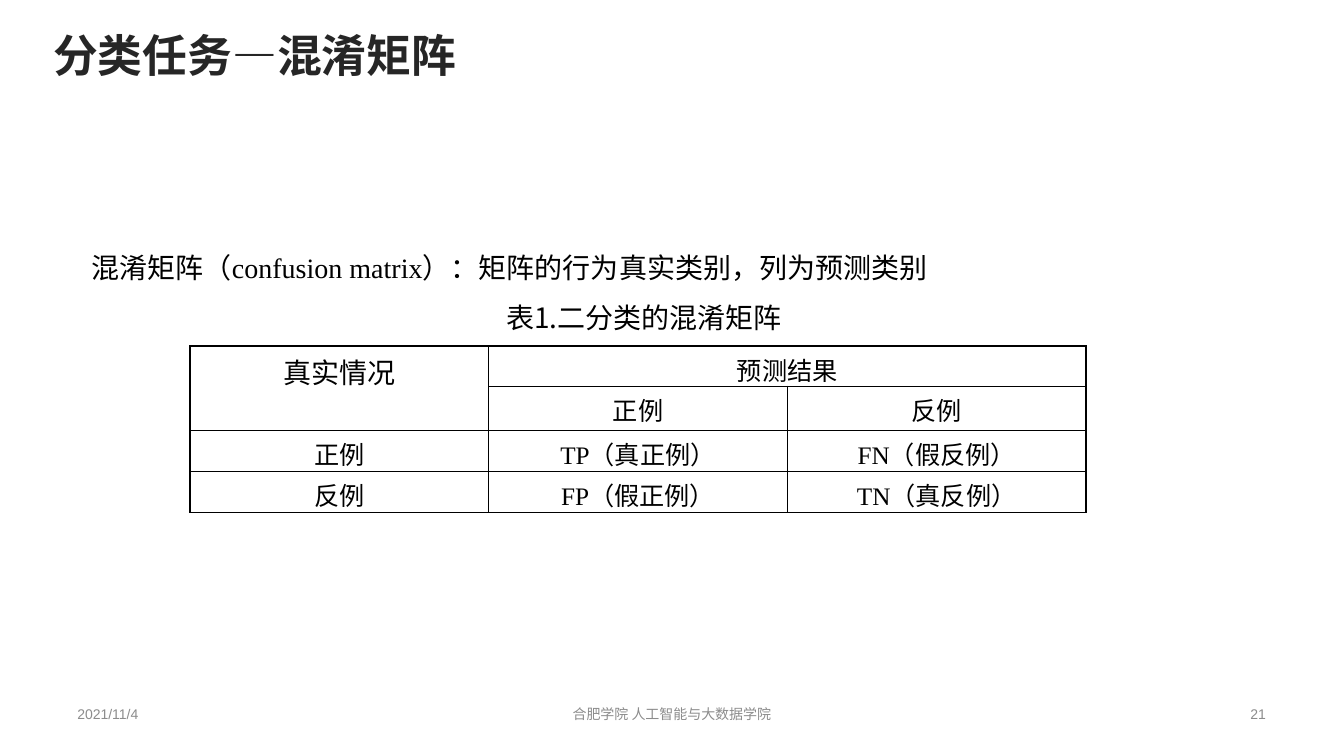
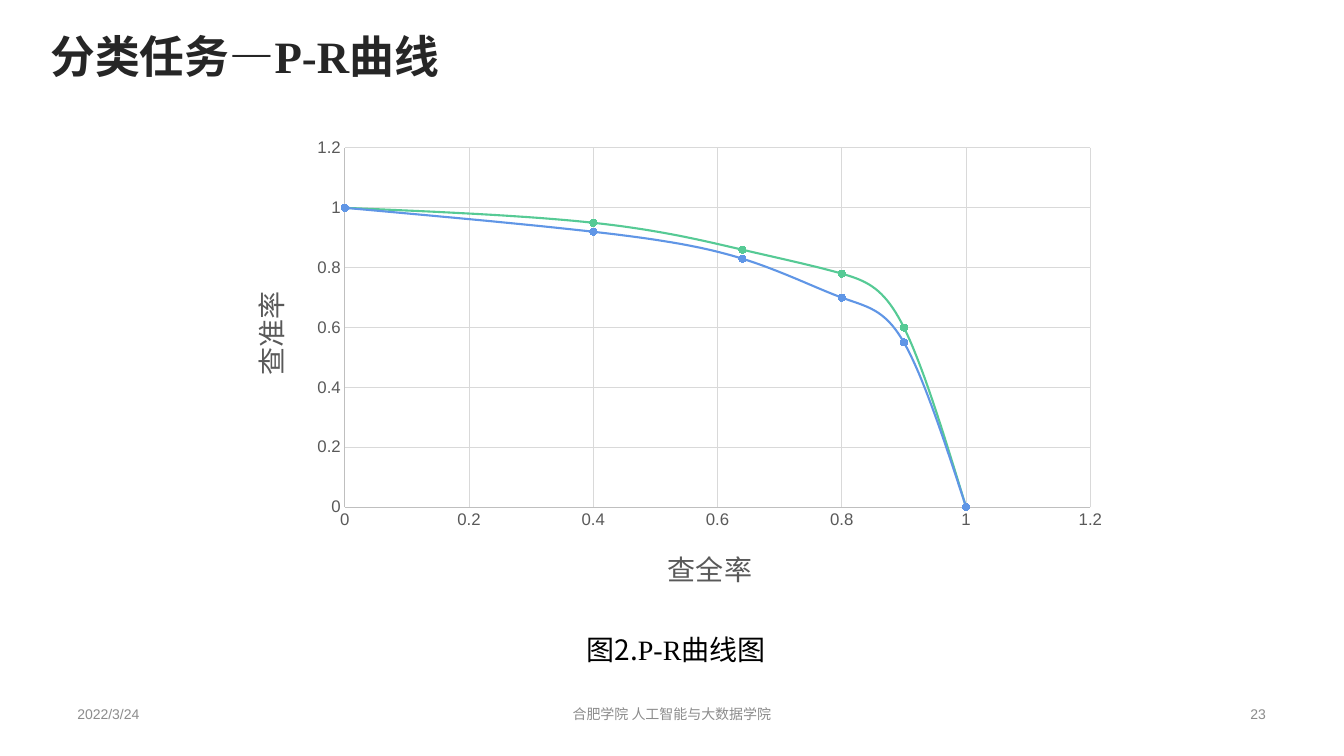
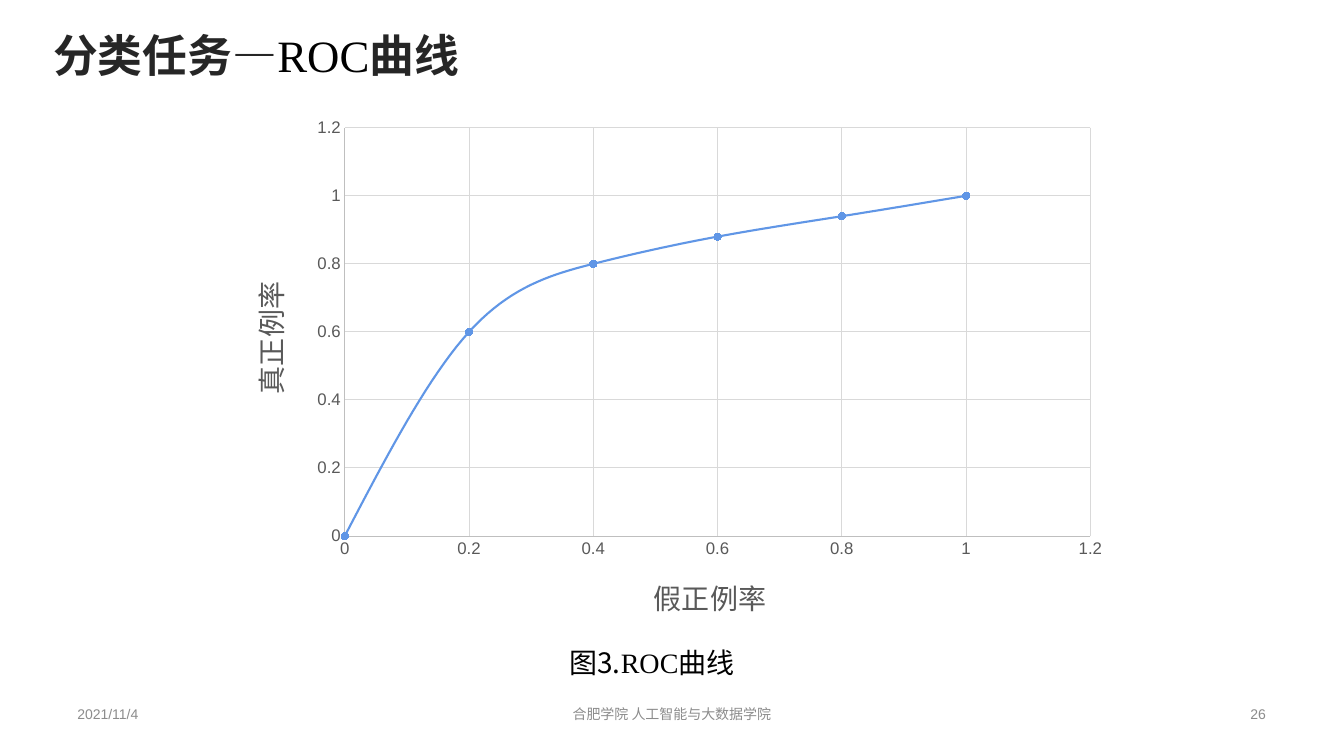
"""Builds three slides on evaluating classifiers: confusion matrix, P-R curve and ROC curve."""
from lxml import etree
from pptx import Presentation
from pptx.chart.data import XyChartData
from pptx.dml.color import RGBColor
from pptx.enum import chart as charts, text as texts
from pptx.oxml import ns
from pptx.util import Cm, Pt

COLOURS = {"title": "262626", "text": "000000", "footer": "8C8C8C", "axis_text": "595959",
           "axis": "BFBFBF", "grid": "D9D9D9", "blue": "6096E6", "green": "56CA95",
           "cell": "FFFFFF", "border": "000000"}
CJK, SERIF, SANS = "Noto Sans CJK SC", "Times New Roman", "Arial"
LEFT, CENTER, RIGHT = texts.PP_ALIGN.LEFT, texts.PP_ALIGN.CENTER, texts.PP_ALIGN.RIGHT
FOOTER = "合肥学院 人工智能与大数据学院"
PLAIN = {"colour": "text", "bold": False}

MATRIX = {
    "title": ["分类任务—混淆矩阵"], "title_box": (1.09, 0.58, 10.82, 1.63),
    "date": "2021/11/4", "number": "21",
    "intro": ["混淆矩阵（", "confusion matrix", "）：矩阵的行为真实类别，列为预测类别"],
    "caption": ["表1.二分类的混淆矩阵"],
    "rows": [
        [["真实情况"], ["预测结果"], []],
        [[], ["正例"], ["反例"]],
        [["正例"], ["TP", "（真正例）"], ["FN", "（假反例）"]],
        [["反例"], ["FP", "（假正例）"], ["TN", "（真反例）"]],
    ],
    "heights": [1.01, 1.11, 1.04, 1.04],
}
RECALLS = [0, 0.4, 0.64, 0.8, 0.9, 1]
CURVES = [
    {"title": ["分类任务—", "P-R", "曲线"], "title_box": (1.02, 0.61, 10.41, 1.63),
     "date": "2022/3/24", "number": "23",
     "chart_box": (5.64, 3.25, 22.58, 12.22), "axes": ("查全率", "查准率"),
     "series": [("Series 1", "blue", RECALLS, [1, 0.92, 0.83, 0.7, 0.55, 0]),
                ("Series 2", "green", RECALLS, [1, 0.95, 0.86, 0.78, 0.6, 0])],
     "caption": ["图2.", "P-R", "曲线图"], "caption_box": (14.53, 15.82, 5.31, 1.12)},
    {"title": ["分类任务—", ("ROC", PLAIN), "曲线"], "title_box": (1.09, 0.58, 10.87, 1.63),
     "date": "2021/11/4", "number": "26",
     "chart_box": (5.64, 2.74, 22.58, 13.46), "axes": ("假正例率", "真正例率"),
     "series": [("Series 1", "blue", [0, 0.2, 0.4, 0.6, 0.8, 1], [0, 0.6, 0.8, 0.88, 0.94, 1])],
     "caption": ["图3.", "ROC", "曲线"], "caption_box": (14.1, 16.15, 6.63, 1.12)},
]


def rgb(name):
    return RGBColor.from_string(COLOURS[name])


def style_font(font, size, colour, name, bold=False):
    font.size, font.bold, font.name = Pt(size), bold, name
    font.color.rgb = rgb(colour)


def write(para, spans, size=20, colour="text", bold=False, font=None, align=LEFT, spacing=None):
    """Fill a paragraph; Latin spans take the serif face unless a font is given."""
    para.alignment = align
    if spacing:
        para.line_spacing = spacing
    for item in spans:
        words, changes = (item, {}) if isinstance(item, str) else item
        look = {"colour": colour, "bold": bold, **changes}
        span = para.add_run()
        span.text = words
        style_font(span.font, size, name=font or (SERIF if words.isascii() else CJK), **look)
        east = etree.SubElement(span.font._element, ns.qn("a:ea"))
        east.set("typeface", CJK)


def add_text(page, place, lines, anchor=texts.MSO_ANCHOR.TOP, **look):
    frame = page.shapes.add_textbox(*map(Cm, place)).text_frame
    frame.word_wrap, frame.vertical_anchor = True, anchor
    for index, (spans, align) in enumerate(lines):
        para = frame.add_paragraph() if index else frame.paragraphs[0]
        write(para, spans, align=align, **look)


def add_page(deck, content):
    page = deck.slides.add_slide(deck.slide_layouts[6])
    add_text(page, content["title_box"], [(content["title"], LEFT)],
             size=32, colour="title", bold=True)
    for left, width, words, align in ((1.7, 7.49, content["date"], LEFT),
                                      (11.43, 11, FOOTER, CENTER),
                                      (24.66, 7.49, content["number"], RIGHT)):
        add_text(page, (left, 17.55, width, 0.89), [([words], align)],
                 anchor=texts.MSO_ANCHOR.MIDDLE, size=10, colour="footer", font=SANS)
    return page


def add_borders(cell):
    properties = cell._tc.get_or_add_tcPr()
    for index, side in enumerate(("a:lnL", "a:lnR", "a:lnT", "a:lnB")):
        line = etree.Element(ns.qn(side), w=str(Pt(1)))
        fill = etree.SubElement(line, ns.qn("a:solidFill"))
        etree.SubElement(fill, ns.qn("a:srgbClr"), val=COLOURS["border"])
        properties.insert(index, line)


def add_matrix(page, rows, heights):
    place = map(Cm, (4.79, 8.72, 22.58, sum(heights)))
    table = page.shapes.add_table(len(rows), len(rows[0]), *place).table
    for row, height in zip(table.rows, heights):
        row.height = Cm(height)
    for r, row in enumerate(rows):
        for c, spans in enumerate(row):
            cell = table.cell(r, c)
            cell.margin_bottom = 0
            cell.fill.solid()
            cell.fill.fore_color.rgb = rgb("cell")
            add_borders(cell)
            write(cell.text_frame.paragraphs[0], spans, size=18 if r or c else 20, align=CENTER)
    table.cell(0, 0).merge(table.cell(1, 0))
    table.cell(0, 1).merge(table.cell(0, 2))


def set_layout(parent, index, **values):
    """Place a chart part by fractions of the chart area."""
    old = parent.find(ns.qn("c:layout"))
    if old is not None:
        parent.remove(old)
    layout = etree.Element(ns.qn("c:layout"))
    manual = etree.SubElement(layout, ns.qn("c:manualLayout"))
    if "w" in values:
        etree.SubElement(manual, ns.qn("c:layoutTarget"), val="inner")
    for mode in ("c:xMode", "c:yMode"):
        etree.SubElement(manual, ns.qn(mode), val="edge")
    for key, value in values.items():
        etree.SubElement(manual, ns.qn("c:" + key), val=f"{value:.4f}")
    parent.insert(index, layout)


def style_axis(axis, name, **position):
    axis.minimum_scale, axis.maximum_scale, axis.major_unit = 0, 1.2, 0.2
    axis.major_tick_mark = axis.minor_tick_mark = charts.XL_TICK_MARK.NONE
    axis.has_major_gridlines = True
    for line, colour in ((axis.format.line, "axis"), (axis.major_gridlines.format.line, "grid")):
        line.width, line.color.rgb = Pt(0.75), rgb(colour)
    style_font(axis.tick_labels.font, 12, "axis_text", SANS)
    axis.tick_labels.number_format = "General"
    axis.tick_labels.number_format_is_linked = False
    write(axis.axis_title.text_frame.paragraphs[0], [name], colour="axis_text")
    set_layout(axis.axis_title._element, 1, **position)


def add_curves(page, place, axes, series):
    data = XyChartData()
    for name, _, xs, ys in series:
        points = data.add_series(name)
        for x, y in zip(xs, ys):
            points.add_data_point(x, y)
    chart = page.shapes.add_chart(charts.XL_CHART_TYPE.XY_SCATTER_SMOOTH,
                                  *map(Cm, place), data).chart
    chart.has_legend = chart.has_title = False
    style_font(chart.font, 10, "text", SANS)
    chart.plots[0].vary_by_categories = False
    for curve, (_, colour, _, _) in zip(chart.plots[0].series, series):
        curve._element.find(ns.qn("c:smooth")).set("val", "1")
        curve.format.line.width, curve.format.line.color.rgb = Pt(1.5), rgb(colour)
        curve.marker.style, curve.marker.size = charts.XL_MARKER_STYLE.CIRCLE, 5
        curve.marker.format.fill.solid()
        curve.marker.format.fill.fore_color.rgb = rgb(colour)
        curve.marker.format.line.color.rgb = rgb(colour)
    width, height = place[2:]
    left, top, plot_width, plot_height = 3.05, 0.48, 18.79, height - 3.17
    set_layout(chart._chartSpace.chart.plotArea, 0, x=left / width, y=top / height,
               w=plot_width / width, h=plot_height / height)
    half_x, half_y = (len(name) * Pt(20).cm / 2 for name in axes)
    style_axis(chart.category_axis, axes[0], x=(left + plot_width / 2 - 0.33 - half_x) / width,
               y=(height - 1.88) / height)
    style_axis(chart.value_axis, axes[1], x=0.45 / width,
               y=(top + plot_height / 2 - half_y) / height)


def main():
    deck = Presentation()
    deck.slide_width, deck.slide_height = Cm(33.87), Cm(19.05)
    page = add_page(deck, MATRIX)
    add_text(page, (2.06, 5.76, 28.35, 11.61),
             [(MATRIX["intro"], LEFT), (MATRIX["caption"], CENTER)], spacing=1.5)
    add_matrix(page, MATRIX["rows"], MATRIX["heights"])
    for content in CURVES:
        page = add_page(deck, content)
        add_curves(page, content["chart_box"], content["axes"], content["series"])
        add_text(page, content["caption_box"], [(content["caption"], LEFT)])
    deck.save("out.pptx")


if __name__ == "__main__":
    main()
